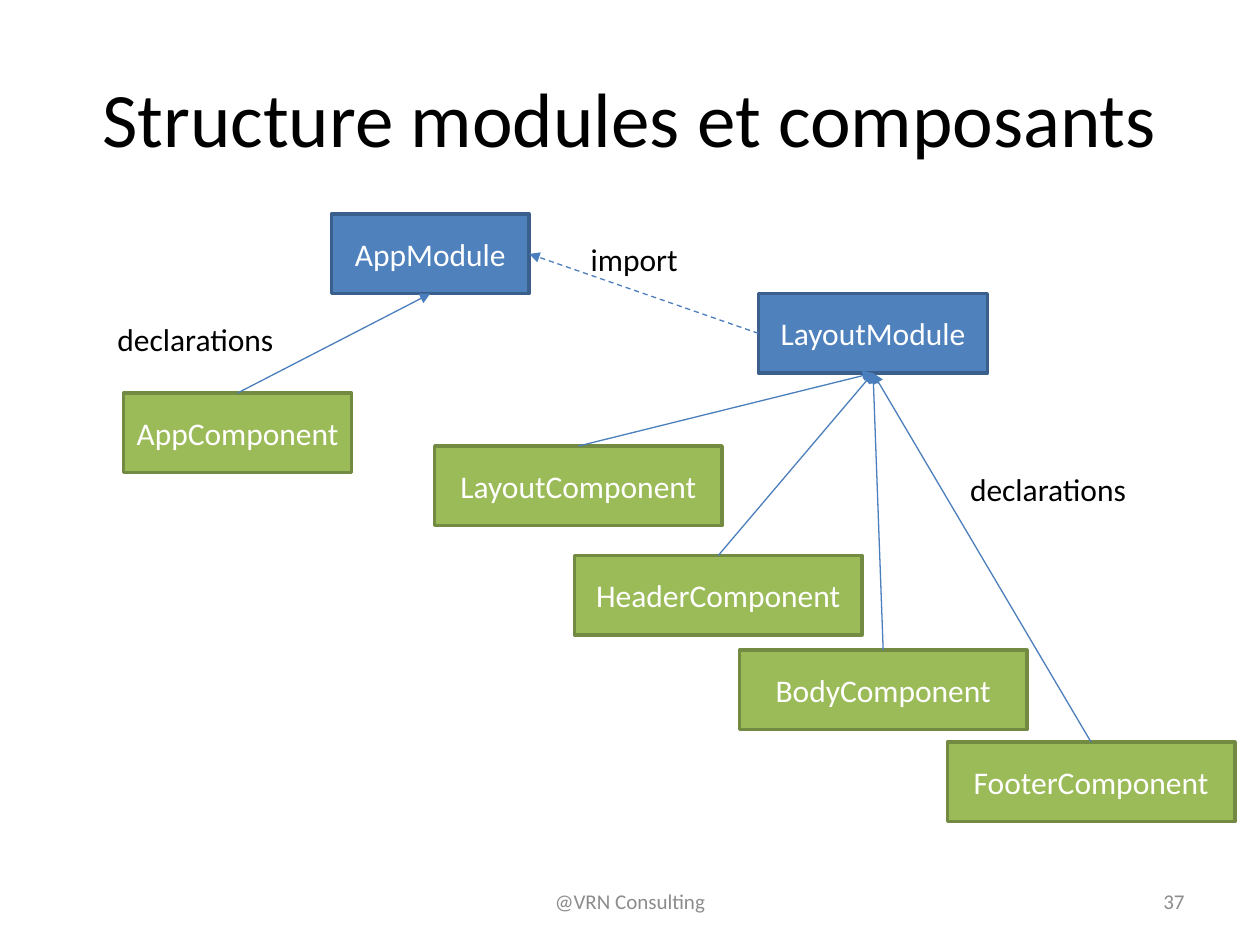
import dataclasses

import pptx
import pptx.dml.color
import pptx.enum.dml
import pptx.enum.shapes
import pptx.enum.text
import pptx.oxml
import pptx.oxml.ns
import pptx.util

Pt = pptx.util.Pt
Align = pptx.enum.text.PP_ALIGN
Anchor = pptx.enum.text.MSO_ANCHOR
Dash = pptx.enum.dml.MSO_LINE


@dataclasses.dataclass(frozen=True)
class Theme:
    """Colours, font and sizes of the slide."""
    font: str = "Calibri"
    ink: str = "000000"
    muted: str = "8C8C8C"
    light: str = "FFFFFF"
    module: tuple = ("4F81BD", "3A5F8C")
    component: tuple = ("9BBB59", "738A42")
    arrow: str = "4B7EBC"
    title_size: float = 44
    text_size: float = 18
    footer_size: float = 12
    border: float = 2
    arrow_width: float = 0.75


@dataclasses.dataclass(frozen=True)
class Box:
    """A rectangle in points."""
    left: float
    top: float
    width: float
    height: float

    def inside(self, left, top, width, height):
        """Return a box placed relative to this one."""
        return Box(self.left + left, self.top + top, width, height)

    def lengths(self):
        """Return the four lengths for python-pptx."""
        return [Pt(value) for value in dataclasses.astuple(self)]


THEME = Theme()
NODE_HEIGHT = 45.4
LABEL_HEIGHT = 28.8
TOP, LEFT, BOTTOM, RIGHT = range(4)

NODES = {
    "AppModule": (THEME.module, 129.4, 0, 113),
    "LayoutModule": (THEME.module, 373.4, 45.4, 131),
    "AppComponent": (THEME.component, 10.6, 102.2, 130.3),
    "LayoutComponent": (THEME.component, 188.4, 132.5, 164.2),
    "HeaderComponent": (THEME.component, 268.3, 195.1, 164.2),
    "BodyComponent": (THEME.component, 362.6, 249.1, 164.2),
    "FooterComponent": (THEME.component, 481.4, 301.7, 164.2),
}
DECLARATIONS = {
    "AppModule": ["AppComponent"],
    "LayoutModule": ["LayoutComponent", "HeaderComponent", "BodyComponent", "FooterComponent"],
}
LABELS = [
    ("import", 270.5, 11.5, 64.8),
    ("declarations", 487.2, 142.6, 104.4),
    ("declarations", 0, 56.9, 104.4),
]


def colour(value):
    """Turn a hex string into a colour."""
    return pptx.dml.color.RGBColor.from_string(value)


def apply(target, values):
    """Set each attribute named in values."""
    for name, value in values.items():
        setattr(target, name, value)


def write(shape, text, size, ink, align, frame_format):
    """Write one formatted paragraph into a shape."""
    frame = shape.text_frame
    apply(frame, frame_format)
    para = frame.paragraphs[0]
    para.alignment = align
    span = para.add_run()
    span.text = text
    apply(span.font, {"name": THEME.font, "size": Pt(size)})
    span.font.color.rgb = colour(ink)


def add_title(page, box, text):
    """Place the title placeholder in the box."""
    title = page.shapes.title
    apply(title, dict(zip(("left", "top", "width", "height"), box.lengths())))
    write(title, text, THEME.title_size, THEME.ink, Align.CENTER,
          {"vertical_anchor": Anchor.MIDDLE, "word_wrap": True})


def add_footer(page, box, credit, number):
    """Place the centred credit and the page number in the box."""
    parts = [(credit, 0, 228, Align.CENTER), (number, box.width - 168, 168, Align.RIGHT)]
    for text, left, width, align in parts:
        place = box.inside(left, 0, width, box.height)
        shape = page.shapes.add_textbox(*place.lengths())
        write(shape, text, THEME.footer_size, THEME.muted, align,
              {"vertical_anchor": Anchor.MIDDLE, "word_wrap": True})


def add_node(page, box, text, colours):
    """Draw one module or component rectangle."""
    node = page.shapes.add_shape(pptx.enum.shapes.MSO_SHAPE.RECTANGLE, *box.lengths())
    node.shadow.inherit = False
    fill, border = colours
    node.fill.solid()
    node.fill.fore_color.rgb = colour(fill)
    node.line.color.rgb = colour(border)
    node.line.width = Pt(THEME.border)
    write(node, text, THEME.text_size, THEME.light, Align.CENTER,
          {"vertical_anchor": Anchor.MIDDLE, "word_wrap": True})
    return node


def add_arrow(page, source, source_side, target, target_side, dash=None):
    """Connect two nodes with an arrow towards the target."""
    arrow = page.shapes.add_connector(pptx.enum.shapes.MSO_CONNECTOR.STRAIGHT, 0, 0, 0, 0)
    arrow.begin_connect(source, source_side)
    arrow.end_connect(target, target_side)
    arrow.line.color.rgb = colour(THEME.arrow)
    apply(arrow.line, {"width": Pt(THEME.arrow_width), "dash_style": dash})
    head = pptx.oxml.parse_xml(
        f'<a:tailEnd {pptx.oxml.ns.nsdecls("a")} type="triangle"/>')
    arrow.line._get_or_add_ln().append(head)
    effects = pptx.oxml.parse_xml(f'<a:effectLst {pptx.oxml.ns.nsdecls("a")}/>')
    arrow._element.spPr.append(effects)


def add_diagram(page, box):
    """Draw the modules, their components, the arrows and the labels."""
    nodes = {
        name: add_node(page, box.inside(left, top, width, NODE_HEIGHT), name, colours)
        for name, (colours, left, top, width) in NODES.items()
    }
    add_arrow(page, nodes["LayoutModule"], LEFT, nodes["AppModule"], RIGHT, Dash.DASH)
    for module, components in DECLARATIONS.items():
        for component in components:
            add_arrow(page, nodes[component], TOP, nodes[module], BOTTOM)
    for text, left, top, width in LABELS:
        place = box.inside(left, top, width, LABEL_HEIGHT)
        label = page.shapes.add_textbox(*place.lengths())
        write(label, text, THEME.text_size, THEME.ink, Align.LEFT,
              {"word_wrap": False,
               "auto_size": pptx.enum.text.MSO_AUTO_SIZE.SHAPE_TO_FIT_TEXT})


def main():
    """Build and save the deck."""
    deck = pptx.Presentation()
    apply(deck, {"slide_width": Pt(720), "slide_height": Pt(540)})
    page = deck.slides.add_slide(deck.slide_layouts.get_by_name("Title Only"))
    add_title(page, Box(36, 21.6, 648, 90), "Structure modules et composants")
    add_footer(page, Box(246, 500.4, 438, 28.8), "@VRN Consulting", "37")
    add_diagram(page, Box(60, 122.4, 645.6, 347.1))
    deck.save("out.pptx")


if __name__ == "__main__":
    main()
